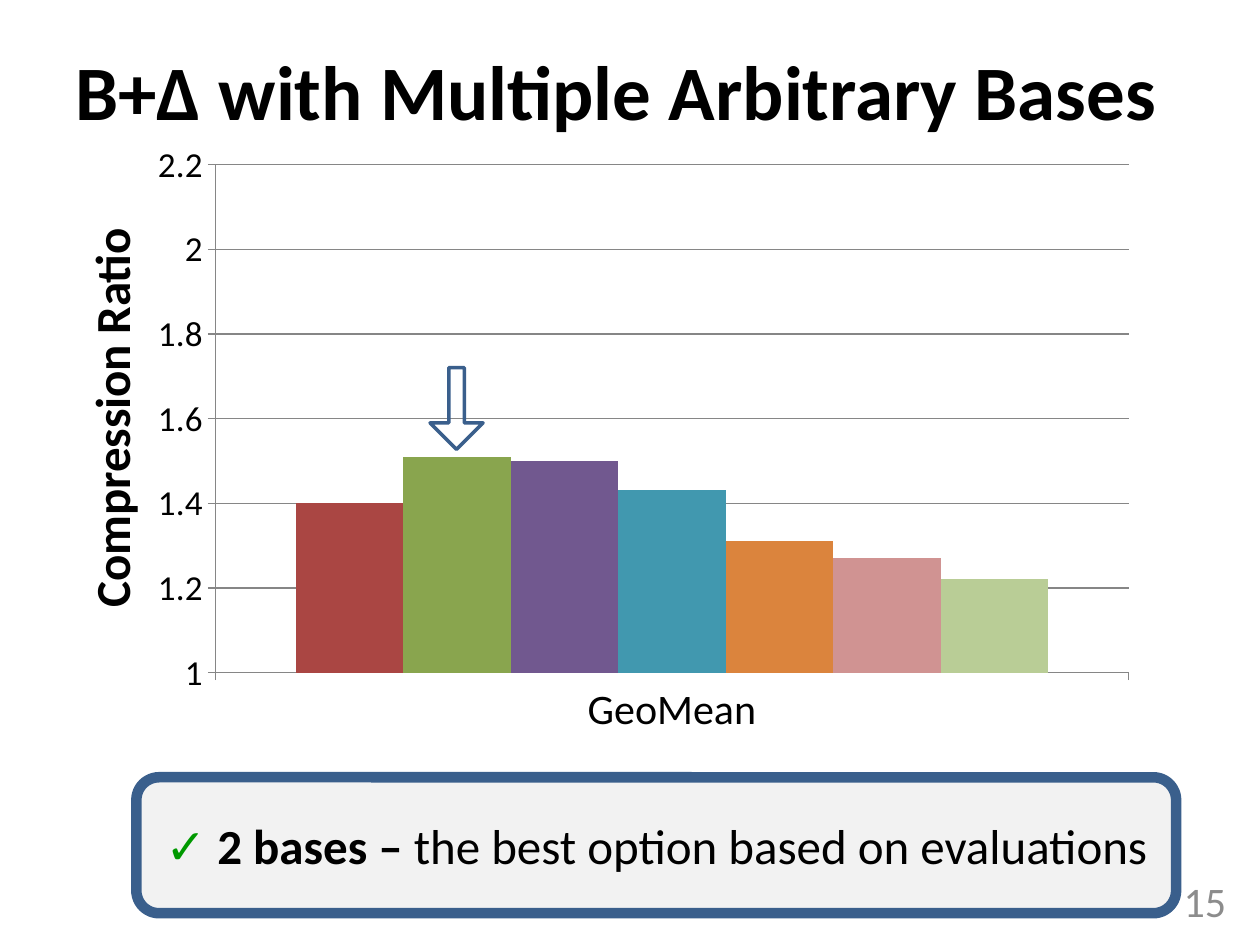
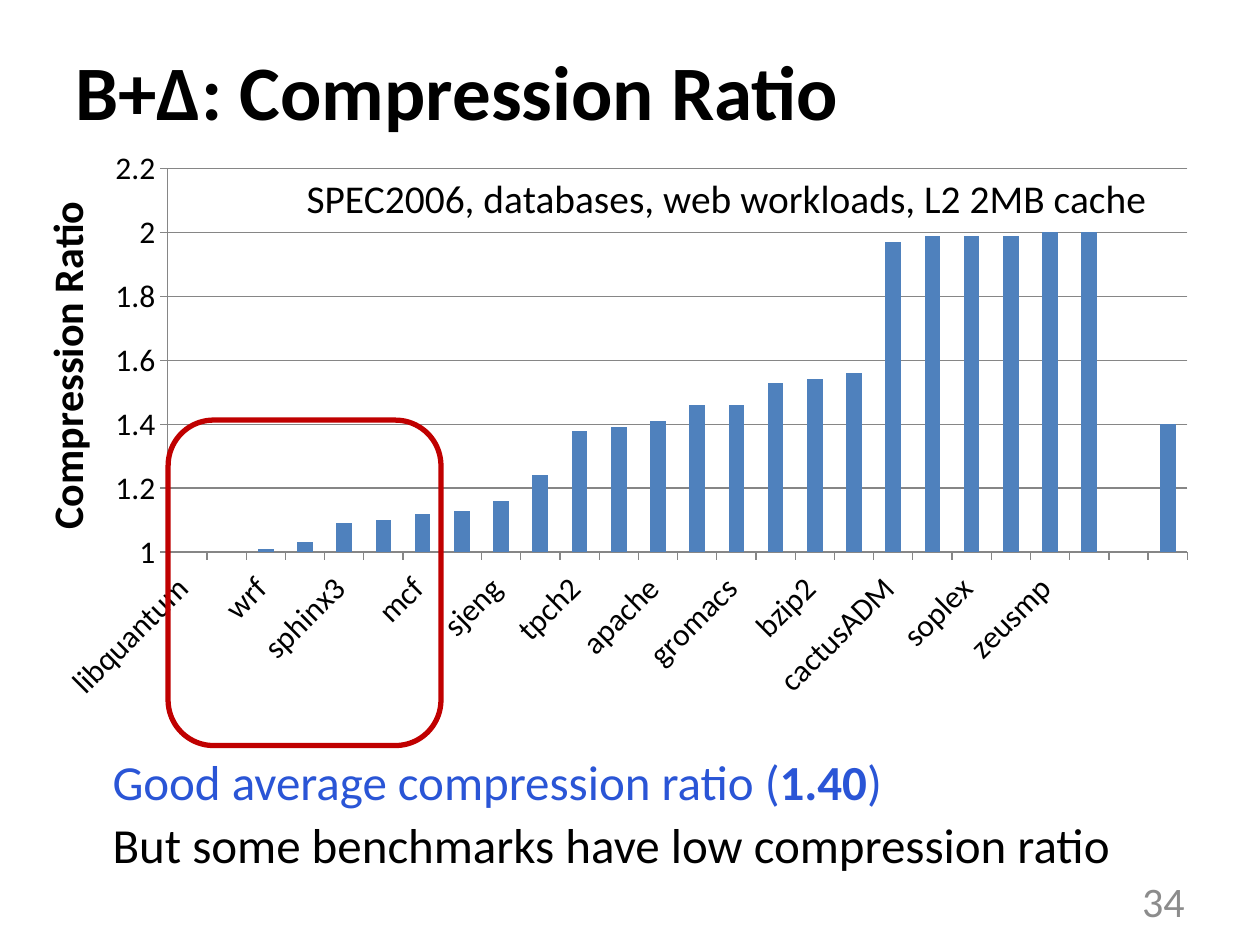
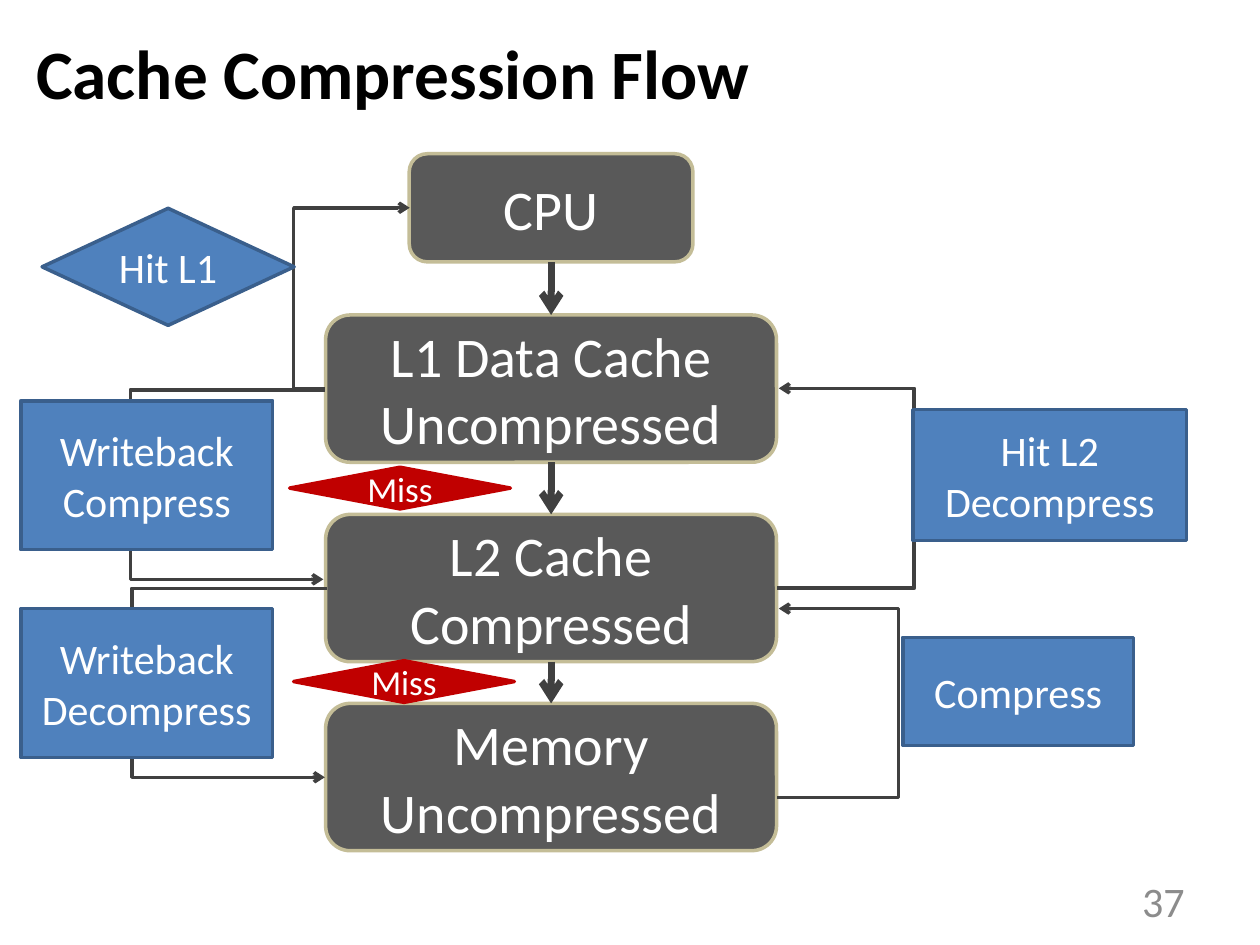
from lxml import etree
from pptx import Presentation
from pptx.chart.data import CategoryChartData
from pptx.dml.color import RGBColor
from pptx.enum import chart as ch, shapes as sh, text as tx
from pptx.oxml import ns, parse_xml
from pptx.util import Cm, Pt

# Shared look
FACE = "Calibri"
BLACK = RGBColor(0x00, 0x00, 0x00)
WHITE = RGBColor(0xFF, 0xFF, 0xFF)
GRAY = RGBColor(0x8C, 0x8C, 0x8C)
RULE = RGBColor(0x86, 0x86, 0x86)
PALE = RGBColor(0xF2, 0xF2, 0xF2)
DARK = RGBColor(0x59, 0x59, 0x59)
WIRE = RGBColor(0x40, 0x40, 0x40)
TAN = RGBColor(0xC4, 0xBD, 0x97)
BLUE = RGBColor(0x4F, 0x81, 0xBD)
NAVY = RGBColor(0x3A, 0x5F, 0x8C)
ROYAL = RGBColor(0x2A, 0x55, 0xD6)
RED = RGBColor(0xC0, 0x00, 0x00)
GREEN = RGBColor(0x00, 0x99, 0x00)
BARS = [RGBColor.from_string(c) for c in (
    "AA4643", "89A54E", "71588F", "4198AF", "DB843D", "D09392", "B9CD96")]

LEFT, MID, RIGHT = tx.PP_ALIGN.LEFT, tx.PP_ALIGN.CENTER, tx.PP_ALIGN.RIGHT
TOP, CORE = tx.MSO_ANCHOR.TOP, tx.MSO_ANCHOR.MIDDLE
KIND = sh.MSO_SHAPE

# Box styles: fill, line, line width, text size
NODE = dict(fill=DARK, line=TAN, width=2, size=32)
STEP = dict(fill=BLUE, line=NAVY, width=2, size=24)
MISS = dict(fill=RED, line=RED, width=2, size=20)


def style(font, size, color=BLACK, bold=False):
    look = dict(name=FACE, size=Pt(size), bold=bold)
    for key, val in look.items():
        setattr(font, key, val)
    font.color.rgb = color


def write(frame, paras, size, color=BLACK, bold=False, align=LEFT,
          anchor=TOP, indent=0):
    """Fill a frame; each paragraph is a list of (words, changes) runs."""
    frame.word_wrap = True
    frame.vertical_anchor = anchor
    for i, runs in enumerate(paras):
        para = frame.paragraphs[0] if i == 0 else frame.add_paragraph()
        para.alignment = align
        if indent:
            para._p.get_or_add_pPr().set("marL", str(Cm(indent)))
        for words, change in runs:
            run = para.add_run()
            run.text = words
            style(run.font, **{**dict(size=size, color=color, bold=bold),
                               **change})


def label(slide, at, runs, size, **form):
    box = slide.shapes.add_textbox(*map(Cm, at))
    write(box.text_frame, [runs], size, **form)


def start(deck, title, num, at=(1.27, 0.22, 22.86, 3.18), size=44, left=18.21):
    """Add a slide with its title and page number."""
    slide = deck.slides.add_slide(deck.slide_layouts[6])
    label(slide, at, [(title, {})], size, bold=True, anchor=CORE)
    label(slide, (left, 17.65, 5.92, 1.02), [(str(num), {})], 24,
          color=GRAY, align=RIGHT, anchor=CORE)
    return slide


def shape(slide, kind, at, line, width, fill=None):
    item = slide.shapes.add_shape(kind, *map(Cm, at))
    item.shadow.inherit = False
    if fill is None:
        item.fill.background()
    else:
        item.fill.solid()
        item.fill.fore_color.rgb = fill
    item.line.color.rgb = line
    item.line.width = Pt(width)
    return item


def block(slide, kind, at, words, look):
    item = shape(slide, kind, at, look["line"], look["width"], look["fill"])
    write(item.text_frame, [[(w, {})] for w in words.split("\n")],
          look["size"], color=WHITE, align=MID, anchor=CORE)


def arrow(slide, head, tail, width, via=None):
    """Join two points; via is the x of the middle leg of a bent arrow."""
    form = sh.MSO_CONNECTOR.STRAIGHT if via is None else sh.MSO_CONNECTOR.ELBOW
    link = slide.shapes.add_connector(form, *map(Cm, head + tail))
    link.line.color.rgb = WIRE
    link.line.width = Pt(width)
    props = link._element.spPr
    if via is not None:
        ratio = (via - head[0]) / (tail[0] - head[0])
        guides = props.find(ns.qn("a:prstGeom")).get_or_add_avLst()
        etree.SubElement(guides, ns.qn("a:gd"), name="adj1",
                         fmla=f"val {round(ratio * 100000)}")
    etree.SubElement(props.find(ns.qn("a:ln")), ns.qn("a:tailEnd"),
                     type="arrow")
    etree.SubElement(props, ns.qn("a:effectLst"))


def place(node, spot, inner=False, **frac):
    """Give a chart part a manual layout in fractions of the chart."""
    for old in node.findall(ns.qn("c:layout")):
        node.remove(old)
    tags = '<c:layoutTarget val="inner"/>' if inner else ""
    tags += '<c:xMode val="edge"/><c:yMode val="edge"/>'
    tags += "".join(f'<c:{key} val="{val}"/>' for key, val in frac.items())
    node.insert(spot, parse_xml(
        f'<c:layout {ns.nsdecls("c")}><c:manualLayout>{tags}'
        '</c:manualLayout></c:layout>'))


def bars(slide, at, cats, rows, colors, plot, sizes, spot):
    """Column chart; sizes: categories, values, axis title; spot: its place."""
    data = CategoryChartData()
    data.categories = cats
    for name, vals in rows:
        data.add_series(name, vals)
    chart = slide.shapes.add_chart(
        ch.XL_CHART_TYPE.COLUMN_CLUSTERED, *map(Cm, at), data).chart
    chart.has_title = chart.has_legend = False
    style(chart.font, sizes[1])
    group = chart.plots[0]
    for key, val in dict(gap_width=150, overlap=0,
                         vary_by_categories=False).items():
        setattr(group, key, val)
    for row, color in zip(group.series, colors):
        row.format.fill.solid()
        row.format.fill.fore_color.rgb = color
    # Axes
    axes = chart.category_axis, chart.value_axis
    for axis, size in zip(axes, sizes):
        style(axis.tick_labels.font, size)
        axis.format.line.color.rgb = RULE
        axis.major_tick_mark = ch.XL_TICK_MARK.OUTSIDE
    scale = axes[1]
    for key, val in dict(minimum_scale=1, maximum_scale=2.2, major_unit=0.2,
                         has_major_gridlines=True).items():
        setattr(scale, key, val)
    scale.major_gridlines.format.line.color.rgb = RULE
    scale.tick_labels.number_format = "General"
    scale.tick_labels.number_format_is_linked = False
    head = scale.axis_title.text_frame
    run = head.paragraphs[0].add_run()
    run.text = "Compression Ratio"
    style(run.font, sizes[2], bold=True)
    turn = head._txBody.find(ns.qn("a:bodyPr"))
    turn.set("rot", "-5400000")
    turn.set("vert", "horz")
    place(scale.axis_title._element, 1, **dict(zip("xy", spot)))
    area = chart._chartSpace.find(".//" + ns.qn("c:plotArea"))
    place(area, 0, inner=True, **dict(zip("xywh", plot)))
    return chart


def bases(deck):
    slide = start(deck, "B+Δ with Multiple Arbitrary Bases", 15, left=19.05)
    rows = [("1", [1.4]), ("2", [1.51]), ("3", [1.5]), ("4", [1.43]),
            ("8", [1.31]), ("10", [1.27]), ("16", [1.22])]
    bars(slide, (0.84, 2.75, 22.43, 12.9), ["GeoMean"], rows, BARS,
         (0.156, 0.044, 0.821, 0.794), (24, 20, 28), (0.025, 0.13))
    # Finding
    note = shape(slide, KIND.ROUNDED_RECTANGLE, (2.75, 15.67, 20.96, 2.74),
                 NAVY, 6, PALE)
    write(note.text_frame, [[
        ("✓", dict(color=GREEN, bold=True)), (" 2 bases – ", dict(bold=True)),
        ("the best option based on evaluations", {})]],
        28, align=MID, anchor=CORE)
    mark = shape(slide, KIND.DOWN_ARROW, (8.67, 7.41, 1.07, 1.65), NAVY, 2)
    mark.adjustments[0] = 0.29


def ratio(deck):
    slide = start(deck, "B+Δ: Compression Ratio", 34)
    marks = ("libquantum lbm wrf hmmer sphinx3 tpch17 mcf omnetpp sjeng "
             "xalancbmk tpch2 leslie3d apache astar gromacs h264ref bzip2 "
             "tpch6 cactusADM gcc soplex gobmk zeusmp GemsFDTD").split()
    # A space at each end sets the slanted names off from the axis
    cats = [f" {mark} " for mark in marks] + ["", "GeoMean"]
    vals = [1, 1, 1.01, 1.03, 1.09, 1.1, 1.12, 1.13, 1.16, 1.24, 1.38, 1.39,
            1.41, 1.46, 1.46, 1.53, 1.54, 1.56, 1.97, 1.99, 1.99, 1.99, 2, 2,
            None, 1.4]
    chart = bars(slide, (0.63, 2.95, 23.93, 12.07), cats,
                 [("Series 1", vals)], [BLUE],
                 (0.115, 0.037, 0.859, 0.641), (18, 18, 24), (0, 0.08))
    names = chart.category_axis._element.find(ns.qn("c:txPr"))
    names.find(ns.qn("a:bodyPr")).set("rot", "-2700000")
    # Remarks
    label(slide, (1.07, 15.03, 23.06, 1.27), [
        ("Good average compression ratio (", {}), ("1.40", dict(bold=True)),
        (")", {})], 28, color=ROYAL, indent=0.95)
    label(slide, (1.07, 16.3, 23.06, 1.7),
          [("But some benchmarks have low compression ratio", {})], 28,
          indent=0.95)
    label(slide, (5.93, 3.38, 18.42, 1.27),
          [("SPEC2006, databases, web workloads, L2 2MB cache", {})], 22.5)
    shape(slide, KIND.ROUNDED_RECTANGLE, (3.39, 8.47, 5.5, 6.56), RED, 3)


def flow(deck):
    slide = start(deck, "Cache Compression Flow", 37,
                  at=(0.48, 0.4, 23.93, 2.11), size=39.6)
    # Memory levels, from top to bottom
    axis = 11.11
    nodes = [("CPU", 3.1, 5.72, 2.18),
             ("L1 Data Cache\nUncompressed", 6.35, 9.09, 2.97),
             ("L2 Cache\nCompressed", 10.37, 9.09, 2.97),
             ("Memory\nUncompressed", 14.18, 9.09, 2.97)]
    for words, top, wide, high in nodes:
        block(slide, KIND.ROUNDED_RECTANGLE,
              (axis - wide / 2, top, wide, high), words, NODE)
    for (_, top, _, high), below in zip(nodes, nodes[1:]):
        arrow(slide, (axis, top + high), (axis, below[1]), 4)
    # Paths around the levels
    for head, tail, via in [
            ((6.55, 7.84), (8.26, 4.19), 5.92),
            ((15.67, 11.86), (15.7, 7.83), 18.43),
            ((15.67, 16.08), (15.7, 12.27), 18.11),
            ((6.6, 11.86), (6.55, 15.67), 2.66),
            ((6.55, 7.86), (6.52, 11.68), 2.63)]:
        arrow(slide, head, tail, 2, via)
    # Steps on the paths
    for kind, at, words, look in [
            (KIND.DIAMOND, (0.85, 4.2, 5.08, 2.36), "Hit L1", STEP),
            (KIND.DIAMOND, (5.84, 9.42, 4.45, 0.84), "Miss", MISS),
            (KIND.DIAMOND, (5.92, 13.32, 4.45, 0.84), "Miss", MISS),
            (KIND.RECTANGLE, (18.41, 8.26, 5.51, 2.64),
             "Hit L2\nDecompress", STEP),
            (KIND.RECTANGLE, (18.2, 12.85, 4.65, 2.18), "Compress", STEP),
            (KIND.RECTANGLE, (0.42, 8.08, 5.08, 3),
             "Writeback\nCompress", STEP),
            (KIND.RECTANGLE, (0.42, 12.27, 5.08, 3),
             "Writeback\nDecompress", STEP)]:
        block(slide, kind, at, words, look)


def main():
    deck = Presentation()
    deck.slide_width, deck.slide_height = Cm(25.4), Cm(19.05)
    for build in (bases, ratio, flow):
        build(deck)
    deck.save("out.pptx")


if __name__ == "__main__":
    main()
